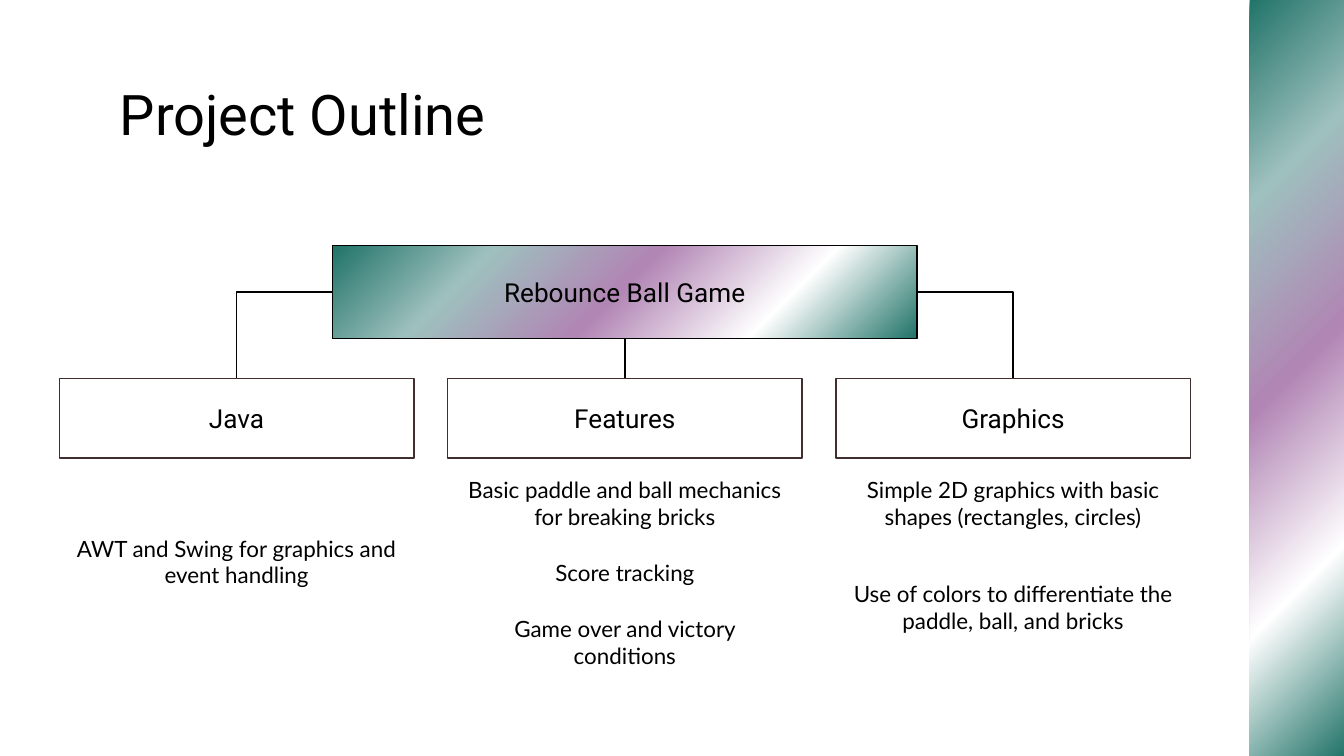
from lxml import etree
from pptx import Presentation
from pptx.dml.color import RGBColor
from pptx.enum.shapes import MSO_CONNECTOR, MSO_SHAPE
from pptx.enum.text import MSO_ANCHOR, MSO_AUTO_SIZE, PP_ALIGN
from pptx.oxml.ns import qn
from pptx.util import Pt

RECT = MSO_SHAPE.RECTANGLE
ELBOW, STRAIGHT = MSO_CONNECTOR.ELBOW, MSO_CONNECTOR.STRAIGHT
TOP, MIDDLE = MSO_ANCHOR.TOP, MSO_ANCHOR.MIDDLE
LEFT, CENTER = PP_ALIGN.LEFT, PP_ALIGN.CENTER
SITE_TOP, SITE_LEFT, SITE_BOTTOM, SITE_RIGHT = range(4)

COLORS = {
    "ink": "000000", "outline": "412F2F", "teal": "207368",
    "mist": "9EC0BE", "mauve": "B185B4", "white": "FFFFFF",
}
GRADIENT = [(0, "teal"), (24, "mist"), (49, "mauve"), (75, "white"), (100, "teal")]


def write(shape, text, font="Roboto", size=14, align=CENTER, anchor=MIDDLE, inset=1.5):
    frame = shape.text_frame
    frame.word_wrap = True
    frame.auto_size = MSO_AUTO_SIZE.NONE
    frame.vertical_anchor = anchor
    frame.margin_left = frame.margin_right = Pt(7.2)
    frame.margin_top = frame.margin_bottom = Pt(inset)
    paragraph = frame.paragraphs[0]
    paragraph.alignment = align
    run = paragraph.add_run()
    run.text = text
    run.font.name = font
    run.font.size = Pt(size)
    run.font.color.rgb = RGBColor.from_string(COLORS["ink"])


def add_box(x, y, width, height, gradient=False, line=None):
    box = slide.shapes.add_shape(RECT, Pt(x), Pt(y), Pt(width), Pt(height))
    box.shadow.inherit = False
    if gradient:
        box.fill.gradient()
        grad = box.fill._xPr.find(qn("a:gradFill"))
        for child in list(grad):
            grad.remove(child)
        stops = etree.SubElement(grad, qn("a:gsLst"))
        for position, color in GRADIENT:
            stop = etree.SubElement(stops, qn("a:gs"), pos=str(position * 1000))
            etree.SubElement(stop, qn("a:srgbClr"), val=COLORS[color])
        etree.SubElement(grad, qn("a:lin"), ang=str(45 * 60000), scaled="0")
    else:
        box.fill.background()
    if line:
        box.line.color.rgb = RGBColor.from_string(COLORS[line])
        box.line.width = Pt(0.75)
    else:
        box.line.fill.background()
    return box


prs = Presentation()
prs.slide_width, prs.slide_height = Pt(720), Pt(405)
slide = prs.slides.add_slide(prs.slide_layouts[5])

# Side band
add_box(669.5, -2, 50.5, 409, gradient=True)

# Title
title = slide.shapes.title
title.left, title.top, title.width, title.height = Pt(57), Pt(35.3), Pt(607), Pt(45.4)
write(title, "Project Outline", size=30, align=LEFT, anchor=TOP, inset=7.2)

# Root of the outline
game = add_box(178.25, 131.5, 313, 50, gradient=True, line="ink")
write(game, "Rebounce Ball Game", inset=3.6)

# Branches: heading, details with their tops, connector and its site on the root
BRANCH_LEFT, BRANCH_WIDTH, BRANCH_PITCH = 31.75, 190, 208
branches = [
    ("Java", [(282.5, "AWT and Swing for graphics and event handling")],
     ELBOW, SITE_LEFT),
    ("Features", [(251, "Basic paddle and ball mechanics for breaking bricks"),
                  (288.25, "Score tracking"),
                  (325.5, "Game over and victory conditions")],
     STRAIGHT, SITE_BOTTOM),
    ("Graphics", [(251, "Simple 2D graphics with basic shapes (rectangles, circles)"),
                  (306.75, "Use of colors to differentiate the paddle, ball, and bricks")],
     ELBOW, SITE_RIGHT),
]
for column, (heading, details, kind, site) in enumerate(branches):
    x = BRANCH_LEFT + column * BRANCH_PITCH
    branch = add_box(x, 202.75, BRANCH_WIDTH, 42.75, line="outline")
    write(branch, heading)

    for y, text in details:
        detail = slide.shapes.add_textbox(Pt(x), Pt(y), Pt(BRANCH_WIDTH), Pt(36.75))
        write(detail, text, font="Lato", size=12)

    link = slide.shapes.add_connector(kind, 0, 0, 0, 0)
    link.begin_connect(game, site)
    link.end_connect(branch, SITE_TOP)
    link.line.color.rgb = RGBColor.from_string(COLORS["ink"])
    link.line.width = Pt(0.75)
    properties = link._element.spPr
    etree.SubElement(properties, qn("a:effectLst"))
    if kind == ELBOW:  # a single bend
        properties.find(qn("a:prstGeom")).set("prst", "bentConnector2")

prs.save("out.pptx")
